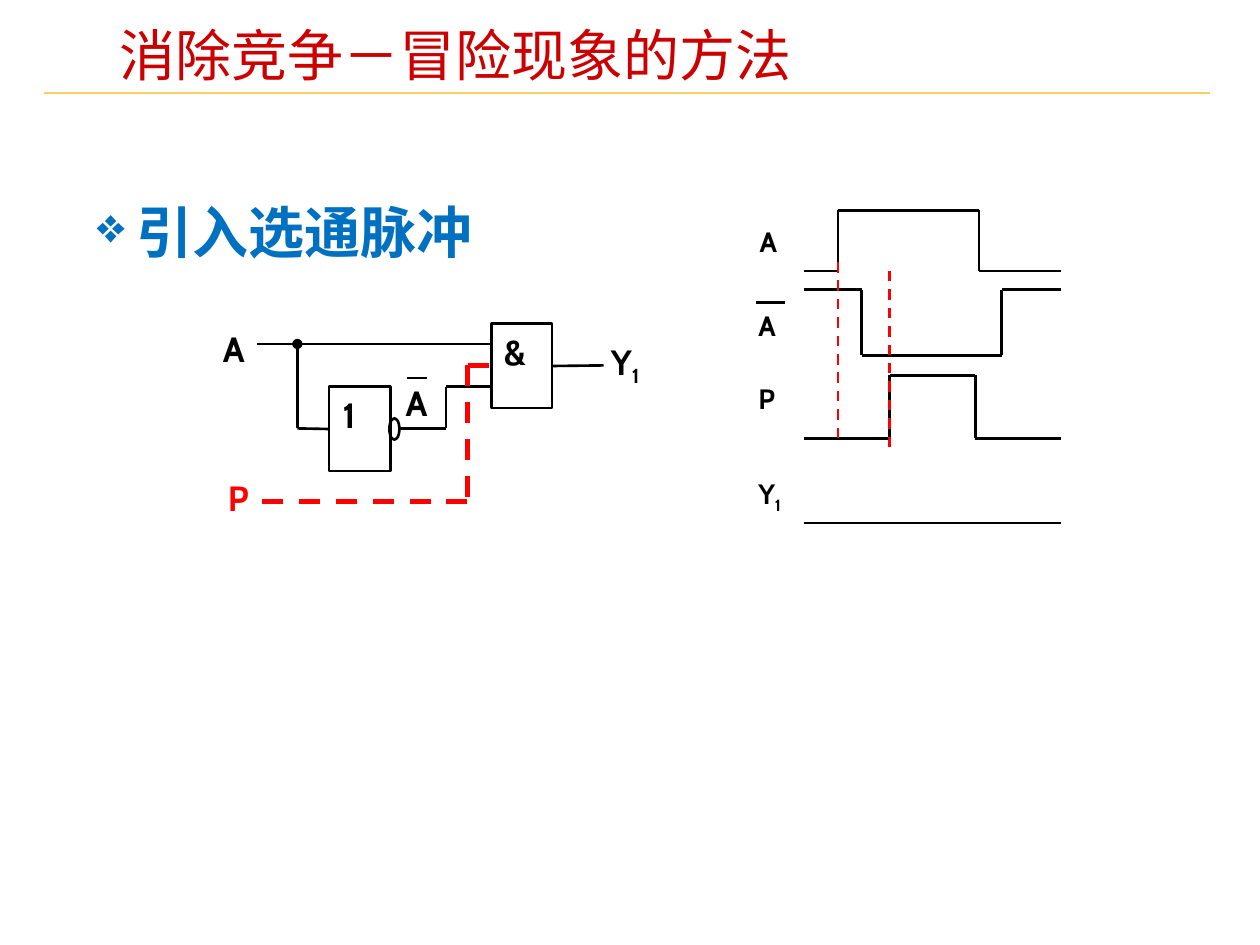
from itertools import pairwise

from lxml import etree
from pptx import Presentation
from pptx.dml.color import RGBColor
from pptx.enum.dml import MSO_LINE
from pptx.enum.shapes import MSO_CONNECTOR, MSO_SHAPE
from pptx.enum.text import MSO_ANCHOR, MSO_AUTO_SIZE
from pptx.oxml.ns import qn
from pptx.util import Inches, Pt

STRAIGHT, DASH = MSO_CONNECTOR.STRAIGHT, MSO_LINE.DASH
RECT, OVAL = MSO_SHAPE.RECTANGLE, MSO_SHAPE.OVAL
LEFT, RIGHT = 1, 3
LATIN, CJK = "Cabin", "Noto Sans CJK SC"
BLACK, RED, BLUE, TITLE_RED, GOLD = "000000", "FF0000", "0070C0", "CC0000", "FFCC66"

TITLE = "消除竞争－冒险现象的方法"
HEADING = [(" ", 28), ("引入选通脉冲", 32)]

GATES = {
    "and": (RECT, 3.9, 2.57, 0.48, 0.67),
    "not": (RECT, 2.61, 3.07, 0.49, 0.67),
    "bubble": (OVAL, 3.09, 3.32, 0.08, 0.17),
}
CIRCUIT_LABELS = [
    ("1", 2.62, 3.07, 0.38, BLACK), ("&", 3.9, 2.57, 0.42, BLACK),
    ("A", 1.67, 2.55, 0.37, BLACK), ("A", 3.12, 2.98, 0.39, BLACK),
    ("Y1", 4.75, 2.65, 0.5, BLACK), ("P", 1.71, 3.73, 0.36, RED),
]
WAVE_LABELS = [("A", 5.93, 1.73, 0.43), ("A", 5.92, 2.4, 0.43),
               ("P", 5.92, 2.98, 0.42), ("Y1", 5.92, 3.73, 0.57)]
OVERBARS = [(3.23, 3.39, 3.0), (6.0, 6.23, 2.4)]

WIRES = [
    [(3.9, 2.73), (2.04, 2.73)],
    [(3.9, 3.07), (3.54, 3.07), (3.54, 3.4), (3.17, 3.4)],
]
STROBE = [(3.88, 2.9), (3.71, 2.9), (3.71, 3.98), (2.04, 3.98)]

WAVE_START, WAVE_END = 6.38, 8.42
WAVES = [
    (2.15, 1.67, [6.65, 7.77]),
    (2.3, 2.82, [6.84, 7.95]),
    (3.48, 2.98, [7.06, 7.74]),
    (4.15, 4.15, []),
]
MARKERS = [(6.65, 2.08, 3.5), (7.06, 2.15, 3.57)]


def rgb(color):
    return RGBColor.from_string(color)


def add_line(s, start, end, color=BLACK, width=1.5, dash=None):
    line = s.shapes.add_connector(STRAIGHT, *(Inches(v) for v in start + end))
    line.line.color.rgb = rgb(color)
    line.line.width = Pt(width)
    if dash:
        line.line.dash_style = dash
    etree.SubElement(line._element.spPr, qn("a:effectLst"))
    return line


def add_path(s, points, **style):
    for start, end in pairwise(points):
        add_line(s, start, end, **style)


def add_gate(s, kind, *box):
    sp = s.shapes.add_shape(kind, *(Inches(v) for v in box))
    sp.shadow.inherit = False
    sp.fill.background()
    sp.line.color.rgb = rgb(BLACK)
    sp.line.width = Pt(1.5)
    return sp


def add_text(s, box, runs, color, bold=True, font=LATIN, wrap=False):
    tf = s.shapes.add_textbox(*(Inches(v) for v in box)).text_frame
    tf.word_wrap = wrap
    tf.auto_size = MSO_AUTO_SIZE.SHAPE_TO_FIT_TEXT
    for text, size in runs:
        r = tf.paragraphs[0].add_run()
        r.text = text
        r.font.size, r.font.bold, r.font.name = Pt(size), bold, font
        r.font.color.rgb = rgb(color)
        etree.SubElement(r.font._element, qn("a:ea")).set("typeface", CJK)
    return tf


def add_label(s, text, x, y, w, h, size, color=BLACK):
    tf = add_text(s, (x, y, w, h), [(c, size) for c in text], color)
    for r in tf.paragraphs[0].runs[1:]:
        r.font._element.set("baseline", "-25000")


def add_headings(s):
    add_line(s, (0.35, 0.74), (9.6, 0.74), GOLD, 1)
    tf = add_text(s, (0.88, 0.21, 6.64, 0.52), [(TITLE, 32)], TITLE_RED,
                  bold=False, font=CJK, wrap=True)
    tf.margin_left = tf.margin_right = Inches(0.07)
    tf.margin_top = tf.margin_bottom = Inches(0.03)
    tf.vertical_anchor = MSO_ANCHOR.MIDDLE
    tf.paragraphs[0].line_spacing = 0.87
    tf = add_text(s, (0.67, 1.52, 3.37, 0.64), HEADING, BLUE)
    pPr = tf.paragraphs[0]._p.get_or_add_pPr()
    etree.SubElement(pPr, qn("a:buChar")).set("char", "❖")


def add_circuit(s):
    gates = {name: add_gate(s, *gate) for name, gate in GATES.items()}
    for wire in WIRES:
        add_path(s, wire)
    add_line(s, (2.61, 3.4), (2.36, 3.4)).begin_connect(gates["not"], LEFT)
    add_line(s, (4.38, 2.9), (4.79, 2.9)).begin_connect(gates["and"], RIGHT)
    branch = add_line(s, (2.36, 3.4), (2.36, 2.73))
    etree.SubElement(branch.line._get_or_add_ln(), qn("a:tailEnd")).set("type", "oval")
    for text, x, y, w, color in CIRCUIT_LABELS:
        add_label(s, text, x, y, w, 0.43, 20, color)
    add_path(s, STROBE, color=RED, width=3, dash=DASH)


def add_timing(s):
    for rest, pulse, edges in WAVES:
        points, level = [(WAVE_START, rest)], rest
        for x in edges:
            other = pulse if level == rest else rest
            points += [(x, level), (x, other)]
            level = other
        add_path(s, points + [(WAVE_END, level)])
    for text, x, y, w in WAVE_LABELS:
        add_label(s, text, x, y, w, 0.5, 16)
    for x, top, bottom in MARKERS:
        add_line(s, (x, top), (x, bottom), RED, dash=DASH)


def main():
    """Build the slide on removing race hazards with a strobe pulse."""
    prs = Presentation()
    prs.slide_width, prs.slide_height = Inches(10), Inches(7.5)
    s = prs.slides.add_slide(prs.slide_layouts[6])
    add_headings(s)
    add_circuit(s)
    add_timing(s)
    for left, right, y in OVERBARS:
        add_line(s, (left, y), (right, y))
    prs.save("out.pptx")


if __name__ == "__main__":
    main()
